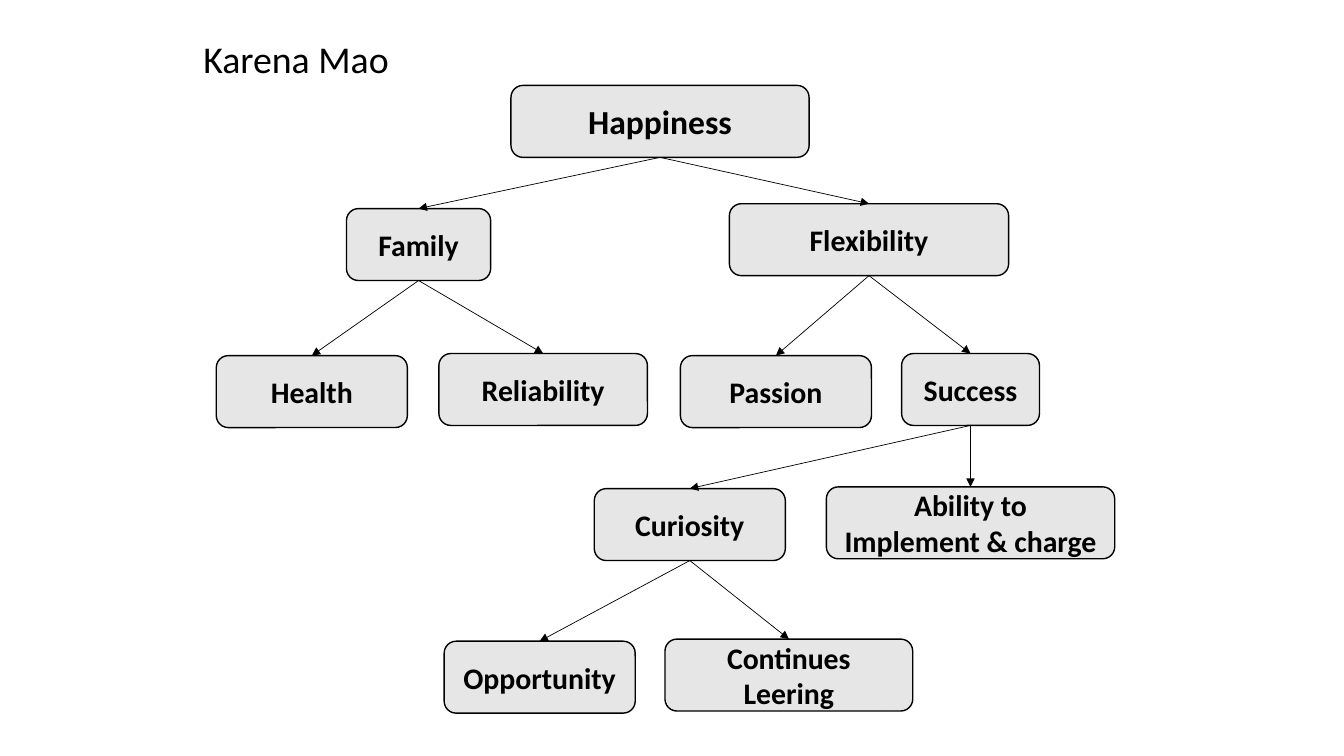
import pptx
import pptx.util
import pptx.dml.color
import pptx.enum.shapes
import pptx.enum.text
import pptx.oxml
import pptx.oxml.ns

Pt = pptx.util.Pt
BLACK = pptx.dml.color.RGBColor(0x00, 0x00, 0x00)
LIGHT_GRAY = pptx.dml.color.RGBColor(0xE7, 0xE6, 0xE6)
FONT = "Calibri"
BOX_HEIGHT = 51.4
BOTTOM, TOP = 2, 0

# Value: (left, top, width), relative to the tree's region, in points
VALUES = {
    "Happiness": (210.5, 0, 213),
    "Family": (93, 88, 103),
    "Flexibility": (366.5, 84.5, 199.5),
    "Health": (0, 193, 136.5),
    "Reliability": (159, 191.5, 149),
    "Passion": (331.5, 193, 136.5),
    "Success": (489.5, 191.5, 98.5),
    "Curiosity": (270, 288, 136.5),
    "Ability to\nImplement & charge": (435.75, 286.75, 206),
    "Opportunity": (162.75, 397, 136.5),
    "Continues Leering": (320.5, 395.5, 177),
}
CHILDREN = {
    "Happiness": ("Family", "Flexibility"),
    "Family": ("Health", "Reliability"),
    "Flexibility": ("Passion", "Success"),
    "Success": ("Curiosity", "Ability to\nImplement & charge"),
    "Curiosity": ("Opportunity", "Continues Leering"),
}


def format_text(frame, size, bold, alignment):
    frame.word_wrap = True
    frame.vertical_anchor = pptx.enum.text.MSO_ANCHOR.MIDDLE
    for paragraph in frame.paragraphs:
        paragraph.alignment = alignment
        paragraph.font.name = FONT
        paragraph.font.size = Pt(size)
        paragraph.font.bold = bold
        paragraph.font.color.rgb = BLACK


def add_title(slide, left, top, width, height):
    title = slide.shapes.title
    title.left, title.top = Pt(left), Pt(top)
    title.width, title.height = Pt(width), Pt(height)
    title.text_frame.text = "Karena Mao"
    format_text(title.text_frame, 27, False, pptx.enum.text.PP_ALIGN.LEFT)


def add_value_box(slide, text, left, top, width):
    box = slide.shapes.add_shape(
        pptx.enum.shapes.MSO_SHAPE.ROUNDED_RECTANGLE,
        Pt(left), Pt(top), Pt(width), Pt(BOX_HEIGHT))
    box.shadow.inherit = False
    box.fill.solid()
    box.fill.fore_color.rgb = LIGHT_GRAY
    box.line.color.rgb = BLACK
    box.line.width = Pt(1)
    frame = box.text_frame
    frame.text = text
    frame.margin_left = frame.margin_right = Pt(8)
    size = 24 if text == "Happiness" else 21.3
    format_text(frame, size, True, pptx.enum.text.PP_ALIGN.CENTER)
    return box


def add_arrow(slide, parent, child):
    arrow = slide.shapes.add_connector(
        pptx.enum.shapes.MSO_CONNECTOR.STRAIGHT, 0, 0, 0, 0)
    arrow.begin_connect(parent, BOTTOM)
    arrow.end_connect(child, TOP)
    arrow.line.color.rgb = BLACK
    arrow.line.width = Pt(0.5)
    line = arrow.line._get_or_add_ln()
    pptx.oxml.ns.qn("a:tailEnd")
    line.append(pptx.oxml.parse_xml(
        f'<a:tailEnd {pptx.oxml.ns.nsdecls("a")} type="triangle"/>'))
    arrow._element.spPr.append(pptx.oxml.parse_xml(
        f'<a:effectLst {pptx.oxml.ns.nsdecls("a")}/>'))


def add_value_tree(slide, left, top):
    boxes = {
        text: add_value_box(slide, text, left + x, top + y, width)
        for text, (x, y, width) in VALUES.items()
    }
    for parent, children in CHILDREN.items():
        for child in children:
            add_arrow(slide, boxes[parent], boxes[child])


def main():
    presentation = pptx.Presentation()
    presentation.slide_width = Pt(960)
    presentation.slide_height = Pt(540)
    # Title Only layout
    slide = presentation.slides.add_slide(presentation.slide_layouts[5])
    add_title(slide, 138, 23, 566, 38)
    add_value_tree(slide, 154.5, 61)
    presentation.save("out.pptx")


if __name__ == "__main__":
    main()
